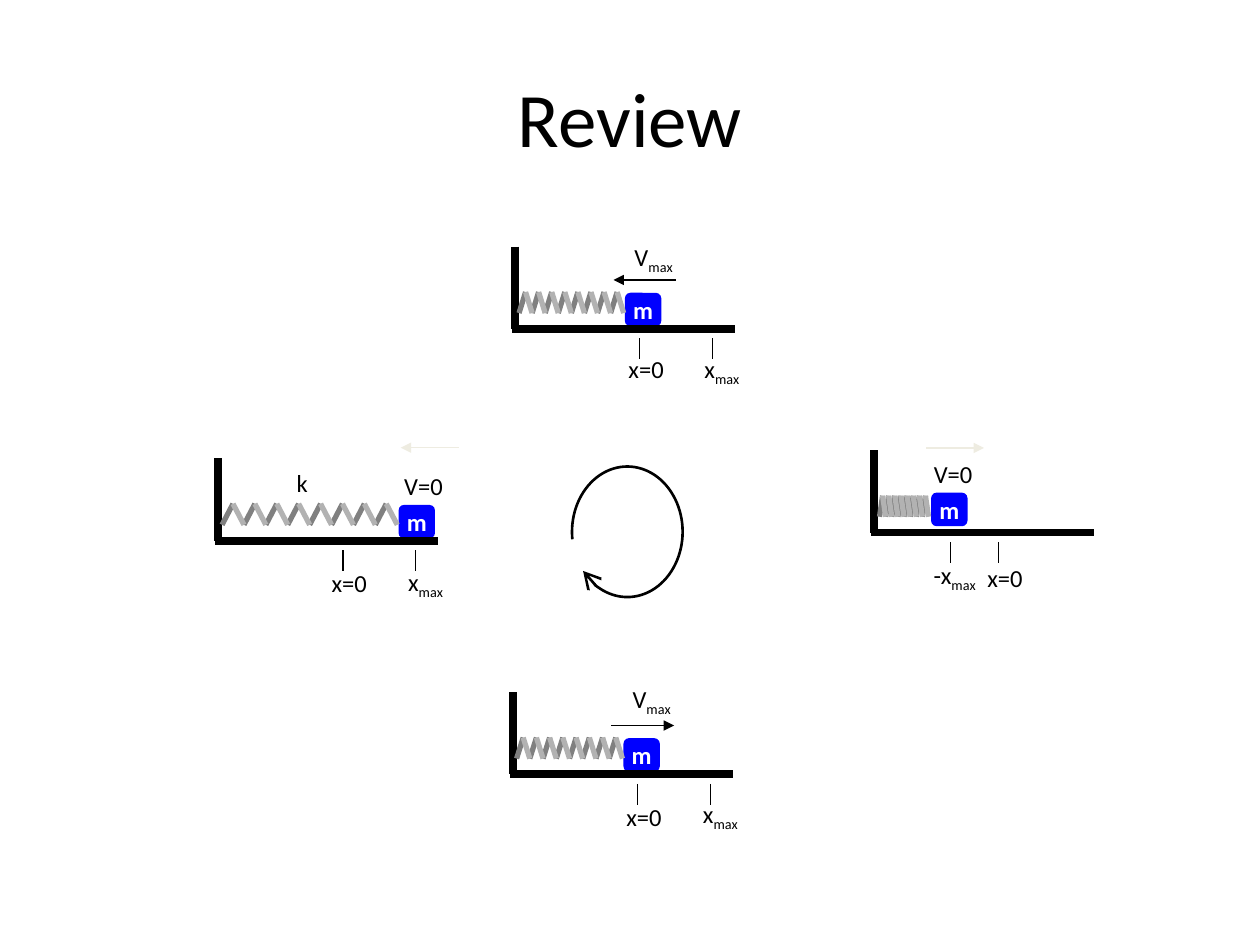
"""Build a review slide of a mass on a spring at four stages of its oscillation."""
import math
from dataclasses import dataclass

import pptx
import pptx.dml.color
import pptx.enum.shapes
import pptx.enum.text
import pptx.oxml
import pptx.oxml.ns
import pptx.util

Pt = pptx.util.Pt
RGBColor = pptx.dml.color.RGBColor
MSO_SHAPE = pptx.enum.shapes.MSO_SHAPE
ALIGN = pptx.enum.text.PP_ALIGN
ANCHOR = pptx.enum.text.MSO_ANCHOR

BLACK = RGBColor(0x00, 0x00, 0x00)
WHITE = RGBColor(0xFF, 0xFF, 0xFF)
BLUE = RGBColor(0x00, 0x00, 0xFF)
DARK_GREY = RGBColor(0x80, 0x80, 0x80)
LIGHT_GREY = RGBColor(0xB2, 0xB2, 0xB2)
CREAM = RGBColor(0xEE, 0xEC, 0xE1)
FONT = "Calibri"
COILS = 8


@dataclass(frozen=True)
class Label:
    text: str
    x: float
    y: float
    w: float


@dataclass(frozen=True)
class Arrow:
    x1: float
    x2: float
    y: float
    color: RGBColor = BLACK


@dataclass(frozen=True)
class Stage:
    wall: float
    floor: float
    spring: tuple[float, float]
    block: tuple[float, float]
    ticks: tuple[float, float]
    arrow: Arrow
    labels: tuple[Label, ...]


STAGES = (
    Stage(124.6, 308.9, (126.9, 227), (227.8, 288.5), (196, 237.6),
          Arrow(262.1, 229, 255.8, CREAM),
          (Label("V=0", 223.9, 265.7, 39.6), Label("x=0", 182.4, 321.1, 37.5),
           Label("x_max", 226.1, 320.4, 49), Label("k", 162.5, 263.9, 21.6))),
    Stage(294.4, 187.9, (296.6, 356.4), (357.1, 167.3), (365.3, 407),
          Arrow(386.2, 350.6, 160),
          (Label("V_max", 355.5, 134.6, 41), Label("x=0", 352, 198.7, 37.5),
           Label("x_max", 395.5, 198.7, 45.4))),
    Stage(499.5, 304.3, (502.6, 530.6), (532.1, 281.5), (570.7, 543),
          Arrow(529.2, 562.3, 256, CREAM),
          (Label("V=0", 526.5, 258.5, 39.6), Label("x=0", 557.1, 318.4, 37.5),
           Label("-x_max", 526.5, 316.3, 59.8))),
    Stage(293.2, 442.5, (295.2, 355.7), (356.3, 421.8), (364.3, 406.1),
          Arrow(349.4, 385.2, 414.6),
          (Label("V_max", 354.4, 387.1, 41), Label("x=0", 350.8, 454.5, 37.5),
           Label("x_max", 394.6, 452.9, 38.9))),
)


def format_run(r, size: float, color: RGBColor, bold: bool = False) -> None:
    r.font.name = FONT
    r.font.size = Pt(size)
    r.font.color.rgb = color
    r.font.bold = bold


def add_head(ln, kind: str, size: str = "med") -> None:
    ln.append(pptx.oxml.parse_xml(
        f'<a:tailEnd {pptx.oxml.ns.nsdecls("a")} type="{kind}" w="{size}" len="{size}"/>'))


def draw_line(shapes, x1: float, y1: float, x2: float, y2: float,
              color: RGBColor = BLACK, width: float = 0.75):
    sp = shapes.add_connector(pptx.enum.shapes.MSO_CONNECTOR.STRAIGHT,
                              Pt(x1), Pt(y1), Pt(x2), Pt(y2))
    sp.line.color.rgb = color
    sp.line.width = Pt(width)
    sp._element.spPr.append(
        pptx.oxml.parse_xml(f'<a:effectLst {pptx.oxml.ns.nsdecls("a")}/>'))
    return sp


def draw_arrow(shapes, arrow: Arrow) -> None:
    sp = draw_line(shapes, arrow.x1, arrow.y, arrow.x2, arrow.y, arrow.color)
    add_head(sp.line._get_or_add_ln(), "triangle")


def draw_label(shapes, label: Label) -> None:
    base, _, sub = label.text.partition("_")
    sp = shapes.add_textbox(Pt(label.x), Pt(label.y), Pt(label.w), Pt(24))
    tf = sp.text_frame
    tf.word_wrap = True
    p = tf.paragraphs[0]
    p.text = base
    if sub:
        r = p.add_run()
        r.text = sub
        r._r.get_or_add_rPr().set("baseline", "-25000")
    for r in p.runs:
        format_run(r, 14, BLACK)


def draw_block(shapes, x: float, y: float) -> None:
    sp = shapes.add_shape(MSO_SHAPE.ROUNDED_RECTANGLE, Pt(x), Pt(y), Pt(20.8), Pt(19.2))
    sp.shadow.inherit = False
    sp.fill.solid()
    sp.fill.fore_color.rgb = BLUE
    sp.line.fill.background()
    tf = sp.text_frame
    tf.text = "m"
    tf.word_wrap = False
    tf.vertical_anchor = ANCHOR.MIDDLE
    p = tf.paragraphs[0]
    p.alignment = ALIGN.CENTER
    format_run(p.runs[0], 14, WHITE, True)


def draw_spring(shapes, start: float, end: float, floor: float) -> None:
    pitch = (end - start) / COILS
    bottom, top = floor - 9, floor - 21
    for i in reversed(range(COILS)):
        x = start + i * pitch
        middle = x + pitch / 2
        draw_line(shapes, x, bottom, middle, top, DARK_GREY, 3)
        draw_line(shapes, x + pitch, bottom, middle, top, LIGHT_GREY, 3)


def draw_stage(s, stage: Stage) -> None:
    shapes = s.shapes.add_group_shape().shapes
    wall, floor = stage.wall, stage.floor
    draw_block(shapes, *stage.block)
    draw_line(shapes, wall, floor - 47, wall, floor, width=4.5)
    draw_line(shapes, wall - 1.8, floor, wall + 125.5, floor, width=4.5)
    draw_spring(shapes, *stage.spring, floor)
    for x in stage.ticks:
        draw_line(shapes, x, floor + 5.5, x, floor + 17.5)
    draw_arrow(shapes, stage.arrow)
    for label in stage.labels:
        draw_label(shapes, label)


def draw_cycle(s, x: float, y: float, w: float, h: float) -> None:
    sp = s.shapes.add_shape(MSO_SHAPE.ARC, Pt(x), Pt(y), Pt(w), Pt(h))
    sp.shadow.inherit = False
    sp.fill.background()
    sp.line.color.rgb = BLACK
    sp.line.width = Pt(1.5)
    add_head(sp.line._get_or_add_ln(), "arrow", "lg")
    start, end = math.atan2(0.06, -0.44), math.atan2(0.31, -0.35)
    for i, angle in enumerate((start, end)):
        sp.adjustments[i] = math.degrees(angle) * 0.6


def main() -> None:
    prs = pptx.Presentation()
    prs.slide_width, prs.slide_height = Pt(720), Pt(540)
    s = prs.slides.add_slide(prs.slide_layouts[5])
    title = s.shapes.title
    title.left, title.top, title.width, title.height = Pt(36), Pt(21.6), Pt(648), Pt(90)
    tf = title.text_frame
    tf.text = "Review"
    tf.vertical_anchor = ANCHOR.MIDDLE
    p = tf.paragraphs[0]
    p.alignment = ALIGN.CENTER
    format_run(p.runs[0], 44, BLACK)
    for stage in STAGES:
        draw_stage(s, stage)
    draw_cycle(s, 326.9, 266.6, 63.2, 74.6)
    prs.save("out.pptx")


if __name__ == "__main__":
    main()
